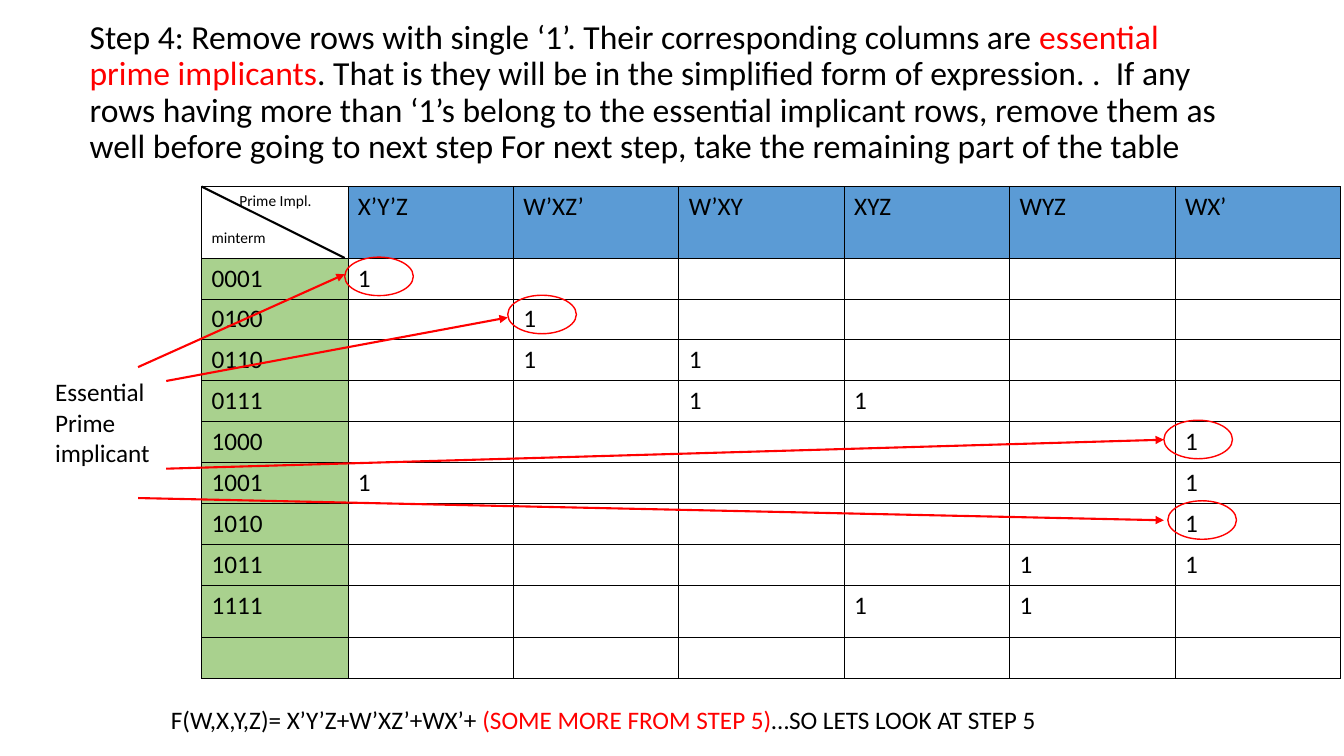
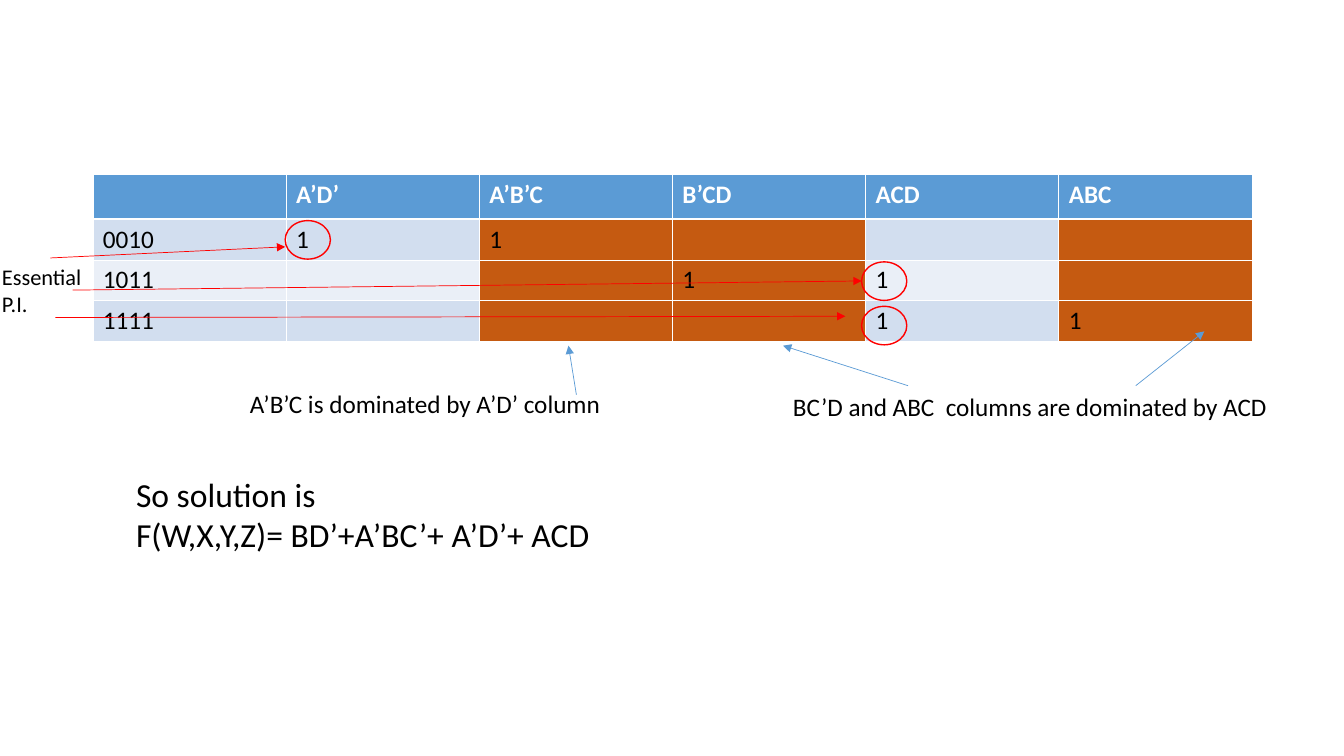
from dataclasses import dataclass

from lxml.etree import SubElement
from pptx import Presentation
from pptx.dml.color import RGBColor
from pptx.enum.shapes import MSO_CONNECTOR, MSO_SHAPE
from pptx.enum.text import MSO_ANCHOR
from pptx.oxml.ns import qn
from pptx.util import Cm, Pt


@dataclass(frozen=True)
class Theme:
    font: str = "Calibri"
    black: str = "000000"
    white: str = "FFFFFF"
    red: str = "FF0000"
    blue: str = "5B9BD5"
    green: str = "A9D18E"
    rust: str = "C55A11"
    bands: tuple = ("D2DEEF", "EAEFF7")
    large: int = 24
    body: int = 18
    note: int = 16
    small: int = 11
    hair: float = 0.5
    ring: float = 1
    bold: float = 1.5


LOOK = Theme()


def paint(color):
    return RGBColor.from_string(color)


def write(frame, lines, size=LOOK.body, color=LOOK.black, bold=False, pitch=1.0, gap=0):
    for index, line in enumerate(lines):
        para = frame.paragraphs[0] if index == 0 else frame.add_paragraph()
        para.line_spacing = pitch
        para.space_before = Pt(gap if index else 0)
        for words, tint in [(line, color)] if isinstance(line, str) else line:
            run = para.add_run()
            run.text = words
            run.font.name = LOOK.font
            run.font.size = Pt(size)
            run.font.bold = bold
            run.font.color.rgb = paint(tint)


def label(slide, box, *lines, anchor=MSO_ANCHOR.TOP, **style):
    frame = slide.shapes.add_textbox(*map(Cm, box)).text_frame
    frame.word_wrap = True
    frame.vertical_anchor = anchor
    write(frame, lines, **style)


def line(slide, box, start, end, color, width, arrow=True):
    left, top = box[:2]
    link = slide.shapes.add_connector(
        MSO_CONNECTOR.STRAIGHT,
        Cm(left + start[0]), Cm(top + start[1]),
        Cm(left + end[0]), Cm(top + end[1]),
    )
    link.line.color.rgb = paint(color)
    link.line.width = Pt(width)
    if arrow:
        SubElement(link.line._get_or_add_ln(), qn("a:tailEnd"), type="triangle")
    SubElement(link._element.spPr, qn("a:effectLst"))


def ring(slide, box, spot, size):
    shape = slide.shapes.add_shape(
        MSO_SHAPE.OVAL, Cm(box[0] + spot[0]), Cm(box[1] + spot[1]), *map(Cm, size)
    )
    shape.shadow.inherit = False
    shape.fill.background()
    shape.line.color.rgb = paint(LOOK.red)
    shape.line.width = Pt(LOOK.ring)


def marks(slide, box, spots, size, links, width):
    for spot in spots:
        ring(slide, box, spot, size)
    for start, end in links:
        line(slide, box, start, end, LOOK.red, width)


def edge(cell, color, widths):
    props = cell._tc.get_or_add_tcPr()
    for index, (side, width) in enumerate(zip("LRTB", widths)):
        rule = SubElement(props, qn(f"a:ln{side}"), w=str(Pt(width)))
        fill = SubElement(rule, qn("a:solidFill"))
        SubElement(fill, qn("a:srgbClr"), val=color)
        props.insert(index, rule)


def grid(slide, box, heads, rows, widths, heights, shade, ink, rule, thick=LOOK.hair):
    shape = slide.shapes.add_table(len(rows) + 1, len(heads), *map(Cm, box))
    table = shape.table
    table.first_row = table.horz_banding = False
    for column, width in zip(table.columns, widths):
        column.width = Cm(width)
    for row, height in zip(table.rows, heights):
        row.height = Cm(height)
    cells = [heads] + [
        [name] + ["1" if col in ones else "" for col in range(1, len(heads))]
        for name, ones in rows
    ]
    for r, texts in enumerate(cells):
        for c, text in enumerate(texts):
            cell = table.cell(r, c)
            color = shade(r, c)
            if color:
                cell.fill.solid()
                cell.fill.fore_color.rgb = paint(color)
            else:
                cell.fill.background()
            upper = thick if r == 1 else LOOK.hair
            lower = thick if r == 0 else LOOK.hair
            edge(cell, rule, (LOOK.hair, LOOK.hair, upper, lower))
            if text:
                first = r == 0
                write(cell.text_frame, [text], color=ink if first else LOOK.black,
                      bold=first and ink == LOOK.white)
    return table


def corner(slide, box, table, width, height):
    frame = table.cell(0, 0).text_frame
    write(frame, ["Prime Impl.", "minterm"], size=LOOK.small, gap=13)
    frame.paragraphs[0]._p.get_or_add_pPr().set("marL", str(Cm(0.7)))
    line(slide, box, (0, 0), (width, height), LOOK.black, LOOK.bold, arrow=False)


def remove(slide, box):
    label(
        slide, (2.01, 0, 29.51, 4.7),
        [
            ("Step 4: Remove rows with single ‘1’. Their corresponding columns are ", LOOK.black),
            ("essential prime implicants", LOOK.red),
            (". That is they will be in the simplified form of expression. .  "
             "If any rows having more than ‘1’s belong to the essential implicant rows, "
             "remove them as well before going to next step "
             "For next step, take the remaining part of the table", LOOK.black),
        ],
        anchor=MSO_ANCHOR.MIDDLE, size=LOOK.large, pitch=0.9,
    )
    heads = ["", "X’Y’Z", "W’XZ’", "W’XY", "XYZ", "WYZ", "WX’"]
    rows = [
        ("0001", {1}), ("0100", {2}), ("0110", {2, 3}), ("0111", {3, 4}),
        ("1000", {6}), ("1001", {1, 6}), ("1010", {6}), ("1011", {5, 6}),
        ("1111", {4, 5}), ("", set()),
    ]

    def shade(r, c):
        if c == 0:
            return LOOK.green if r else None
        return None if r else LOOK.blue

    table = grid(slide, box, heads, rows, [3.69] + [4.17] * 6,
                 [1.8] + [1.03] * 8 + [1.33, 1.03], shade, LOOK.black, LOOK.black)
    corner(slide, box, table, 3.61, 1.8)
    label(
        slide, (4.06, 17.63, 28.88, 1.02),
        [
            ("F(W,X,Y,Z)= X’Y’Z+W’XZ’+WX’+ ", LOOK.black),
            ("(SOME MORE FROM STEP 5)", LOOK.red),
            ("…SO LETS LOOK AT STEP 5", LOOK.black),
        ],
    )
    spots = [(3.61, 1.78), (7.72, 2.74), (24.26, 5.89), (24.36, 7.92)]
    links = [
        ((-1.6, 4.55), (3.61, 2.21)), ((-0.89, 4.9), (7.72, 3.3)),
        ((-0.89, 7.11), (24.26, 6.38)), ((-1.6, 7.85), (24.26, 8.41)),
    ]
    marks(slide, box, spots, (1.73, 0.97), links, LOOK.bold)
    label(slide, (1.14, 9.37, 4.06, 2.54), "Essential", "Prime implicant")


def solve(slide, box):
    heads = ["", "A’D’", "A’B’C", "B’CD", "ACD", "ABC"]
    rows = [("0010", {1, 2}), ("1011", {3, 4}), ("1111", {4, 5})]

    def shade(r, c):
        if r == 0:
            return LOOK.blue
        return LOOK.rust if c in (2, 3, 5) else LOOK.bands[(r - 1) % 2]

    grid(slide, box, heads, rows, [box[2] / 6] * 6, [1.13] + [1.03] * 3,
         shade, LOOK.white, LOOK.white, LOOK.bold)
    label(slide, (3.18, 11.82, 28.37, 2.35), "So solution is",
          "F(W,X,Y,Z)= BD’+A’BC’+ A’D’+ ACD", size=LOOK.large)
    label(slide, (6.05, 9.65, 10.06, 1.02), "A’B’C is dominated by A’D’ column")
    label(slide, (19.74, 9.73, 13.56, 1.02), "BC’D and ABC  columns are dominated by ACD")
    for start, end in [
        ((12.19, 5.56), (11.99, 4.32)),
        ((26.29, 5.33), (28.02, 3.96)),
        ((20.55, 5.33), (17.4, 4.32)),
    ]:
        line(slide, box, start, end, LOOK.blue, LOOK.hair)
    spots = [(4.85, 1.17), (19.38, 2.21), (19.38, 3.33)]
    links = [
        ((-1.07, 2.11), (4.85, 1.83)),
        ((-0.51, 2.92), (19.38, 2.69)),
        ((-0.94, 3.61), (18.97, 3.58)),
    ]
    marks(slide, box, spots, (1.14, 0.97), links, LOOK.hair)
    label(slide, (-0.2, 6.5, 2.95, 1.63), "Essential P.I.", size=LOOK.note)


def main():
    deck = Presentation()
    deck.slide_width, deck.slide_height = Cm(33.88), Cm(19.05)
    blank = deck.slide_layouts[6]
    remove(deck.slides.add_slide(blank), (5.08, 4.7, 28.71, 12.4))
    solve(deck.slides.add_slide(blank), (2.34, 4.39, 29.22, 4.22))
    deck.save("out.pptx")


if __name__ == "__main__":
    main()
